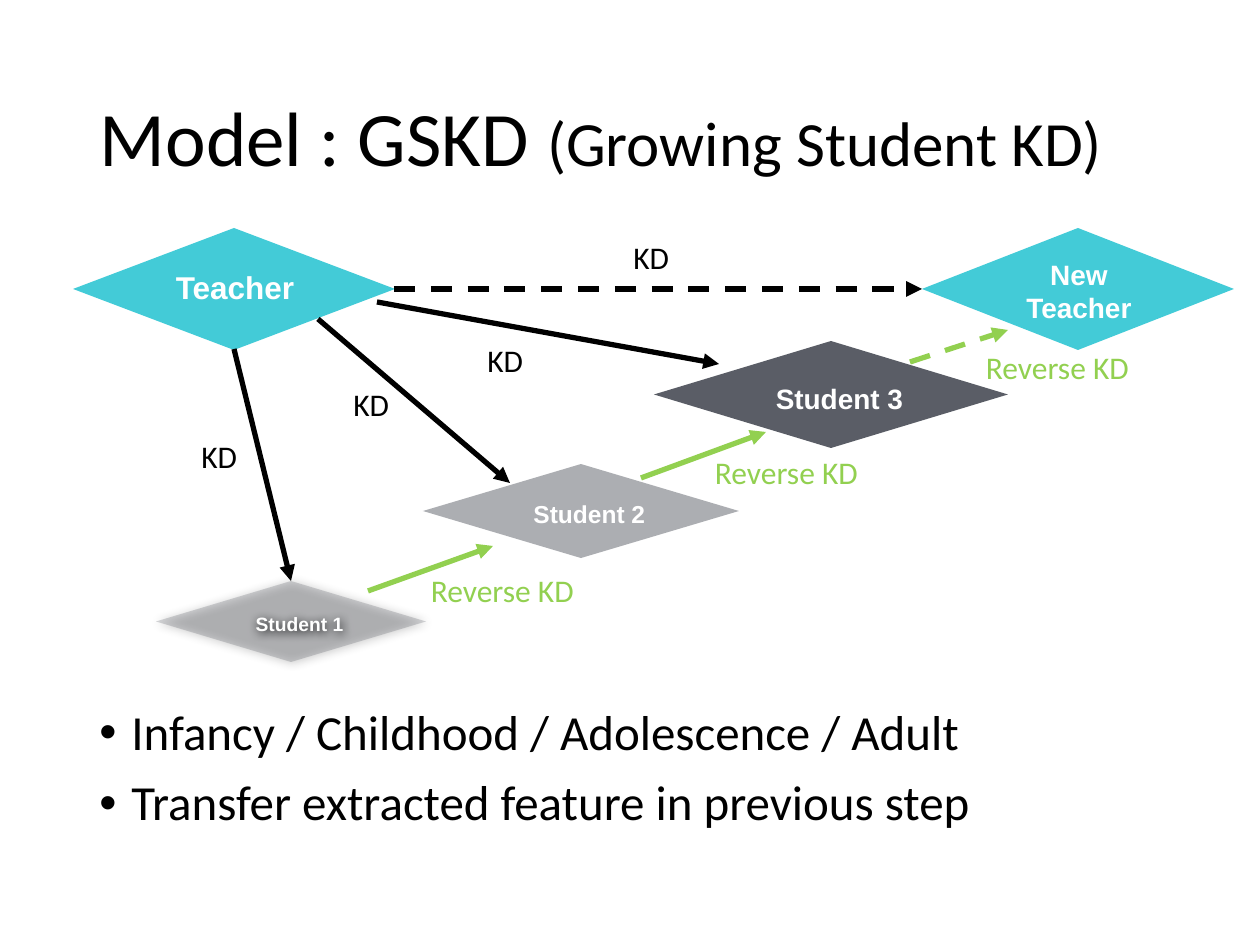
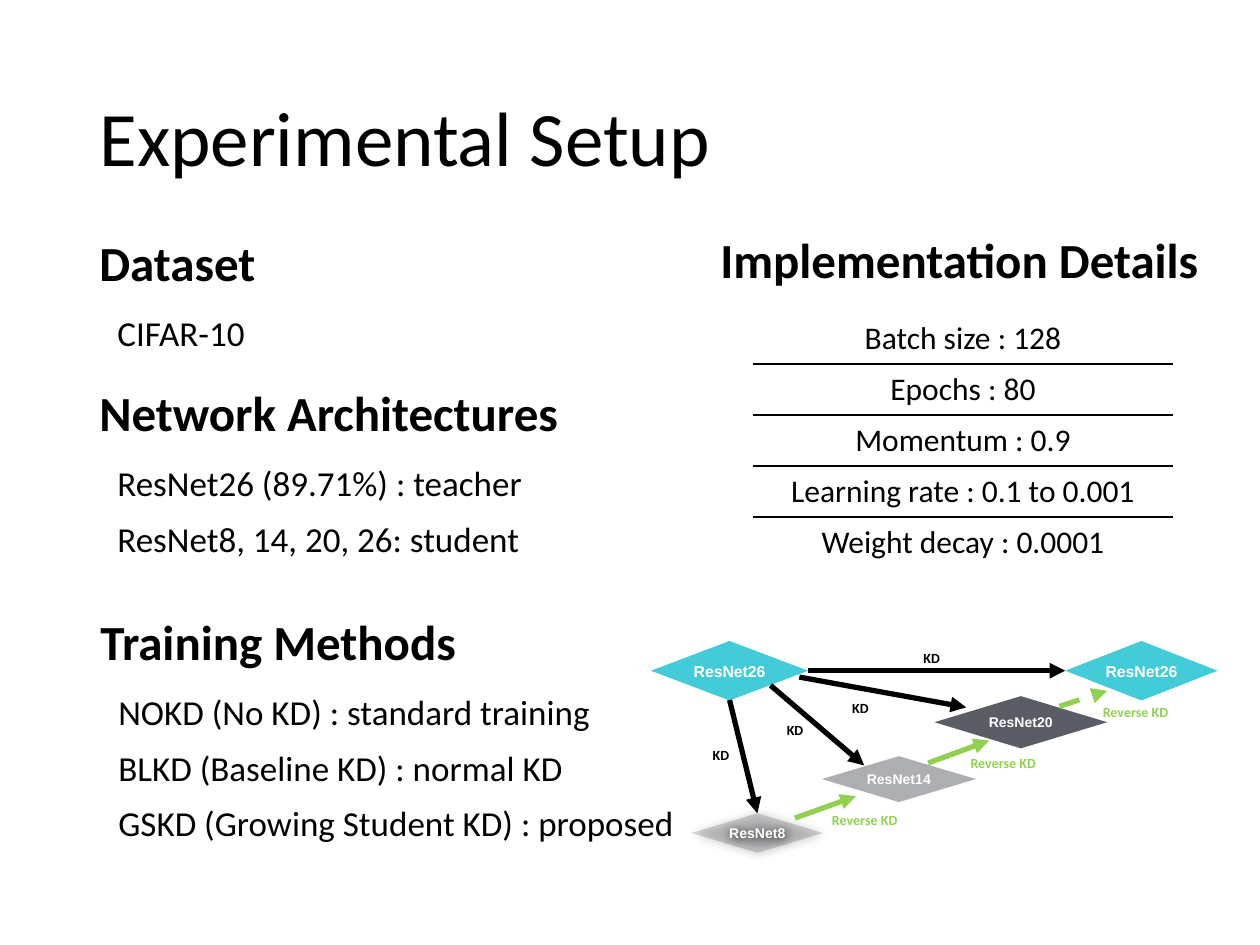
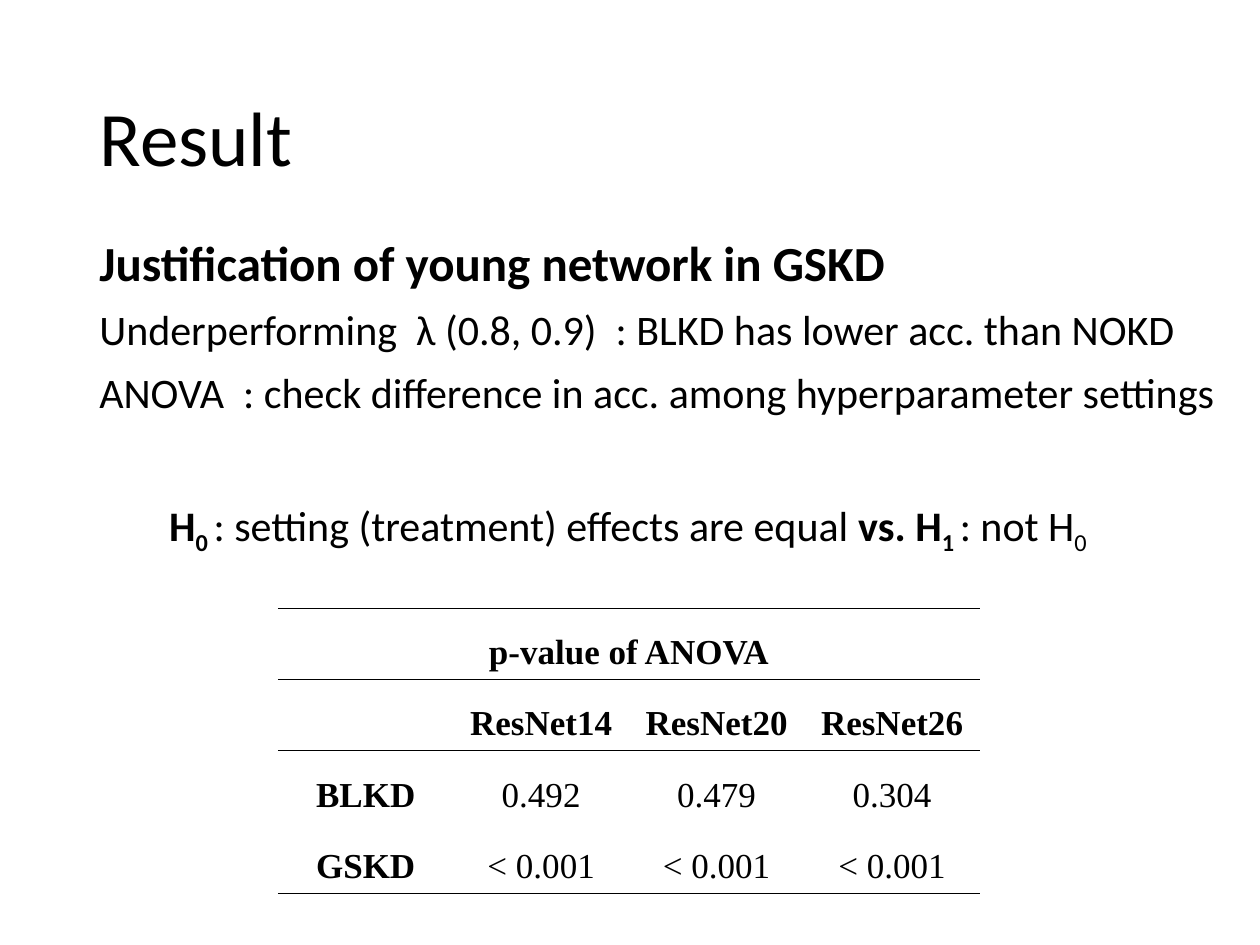
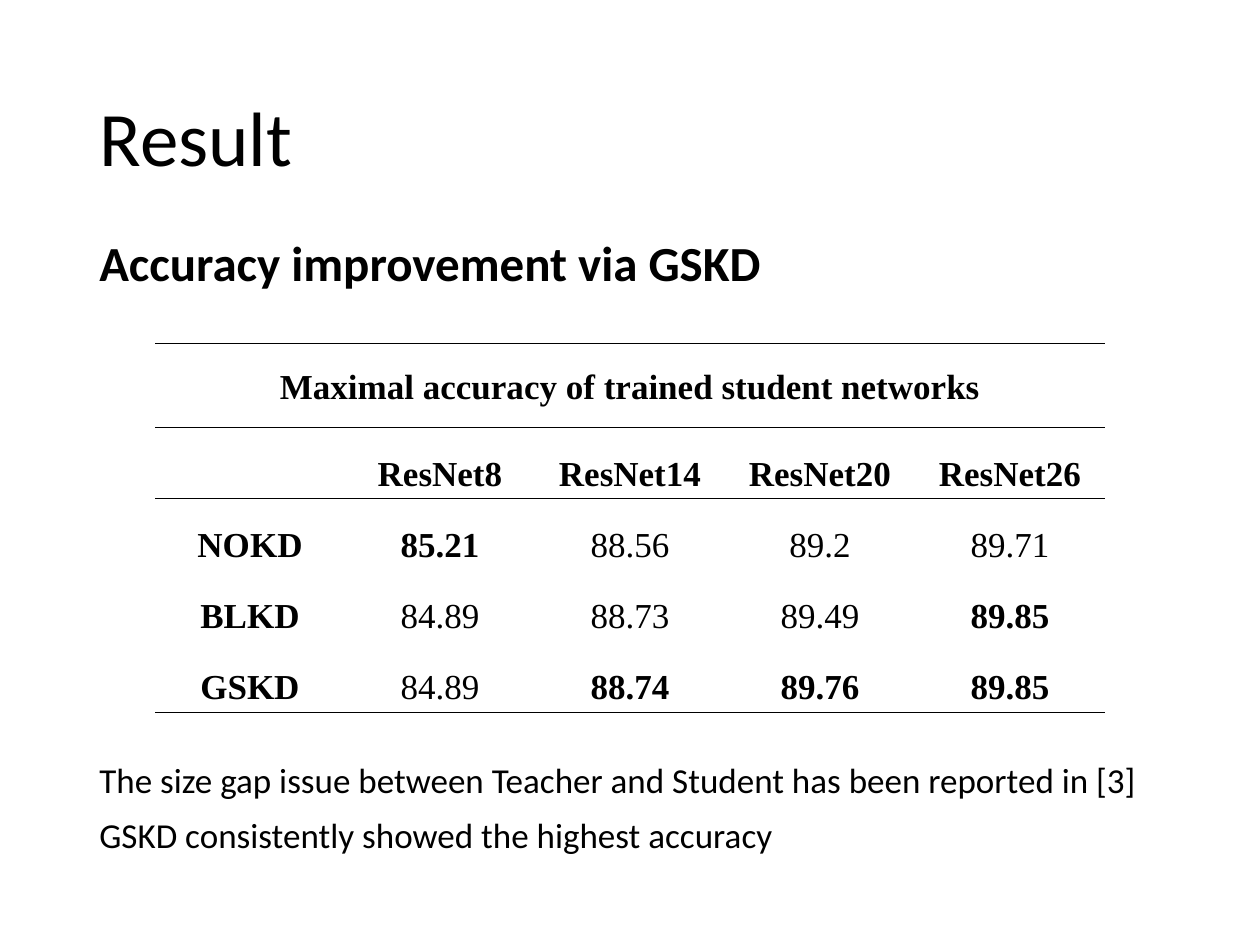
"""Build four slides on growing student knowledge distillation."""
from lxml.etree import SubElement
from pptx import Presentation
from pptx.dml.color import RGBColor
from pptx.enum.dml import MSO_LINE
from pptx.enum.shapes import MSO_CONNECTOR, MSO_SHAPE
from pptx.enum.text import MSO_ANCHOR, MSO_AUTO_SIZE, PP_ALIGN
from pptx.oxml.ns import qn
from pptx.util import Pt

PX = 914400 / 126
WIDE, HIGH = 1260, 945
BLACK = RGBColor(0x00, 0x00, 0x00)
WHITE = RGBColor(0xFF, 0xFF, 0xFF)
GREEN = RGBColor(0x92, 0xD0, 0x50)
CYAN = RGBColor(0x43, 0xCB, 0xD7)
SLATE = RGBColor(0x31, 0x35, 0x40)
SANS, BODY, SERIF = "Arial", "Calibri", "Times New Roman"
LEFT, CENTER = PP_ALIGN.LEFT, PP_ALIGN.CENTER
TOP, MIDDLE, BOTTOM = MSO_ANCHOR.TOP, MSO_ANCHOR.MIDDLE, MSO_ANCHOR.BOTTOM

TITLE = (87, 50, 1173, 183)
HEAD, ITEM = 28, 20
INDENT = 18

LOW = (30, 20, 13, 6)
HIGHER = (15, 10, 13, 6)
NODES = [
    ((423, 464, 316, 94), SLATE, 40, BOTTOM, LOW),
    ((654, 341, 354, 107), SLATE, 80, BOTTOM, LOW),
    ((156, 581, 270, 81), SLATE, 20, BOTTOM, LOW),
    ((73, 228, 322, 122), CYAN, 100, TOP, HIGHER),
    ((922, 228, 312, 122), CYAN, 100, MIDDLE, HIGHER),
]
FAINT = 20
ARROWS = [
    ((234, 349, 291, 581), BLACK, False),
    ((368, 591, 493, 546), GREEN, False),
    ((641, 478, 766, 432), GREEN, False),
    ((318, 319, 510, 483), BLACK, False),
    ((377, 302, 719, 364), BLACK, False),
    ((910, 362, 1008, 330), GREEN, True),
]
LINK = (394, 289, 922, 289)
LABELS = {
    "KD": (BLACK, [(222, 456), (374, 404), (508, 360), (654, 257)]),
    "Reverse KD": (GREEN, [(527, 590), (811, 472), (1082, 367)]),
}
LARGE = {
    "names": [("Student 2", 14), ("Student 3", 16), ("Student 1", 11),
              ("Teacher", 18), ("New Teacher", 16)],
    "origin": (73, 228), "scale": 1, "tight": False, "dash": True,
    "size": 18, "bold": False, "drop": 0, "tall": 50,
    "widths": {"KD": 66, "Reverse KD": 217},
}
SMALL = {
    "names": [("ResNet14", 8), ("ResNet20", 8), ("ResNet8", 8),
              ("ResNet26", 9), ("ResNet26", 9)],
    "origin": (651, 641), "scale": 0.488, "tight": True, "dash": False,
    "size": 8, "bold": True, "drop": 3, "tall": 30,
    "widths": {"KD": 47, "Reverse KD": 106},
}

STAGES = ["Infancy / Childhood / Adolescence / Adult",
          "Transfer extracted feature in previous step"]
SETUP = [
    ((87, 233, 231, 130), "Dataset", ["CIFAR-10"]),
    ((87, 383, 544, 185), "Network Architectures",
     ["ResNet26 (89.71%) : teacher", "ResNet8, 14, 20, 26: student"]),
    ((88, 612, 757, 242), "Training Methods",
     ["NOKD (No KD) : standard training", "BLKD (Baseline KD) : normal KD",
      "GSKD (Growing Student KD) : proposed"]),
    ((708, 230, 512, 67), "Implementation Details", []),
]
DETAILS = [["Batch size : 128"], ["Epochs : 80"], ["Momentum : 0.9"],
           ["Learning rate : 0.1 to 0.001"], ["Weight decay : 0.0001"]]
REASON = [
    ("Justification of young network in GSKD", HEAD, True),
    ("Underperforming  λ (0.8, 0.9)  : BLKD has lower acc. than NOKD", 24, False),
    ("ANOVA  : check difference in acc. among hyperparameter settings", 24, False),
]
TEST = [("H", True, False), ("0 ", True, True),
        (": setting (treatment) effects are equal ", False, False),
        ("vs. H", True, False), ("1 ", True, True),
        (": not H", False, False), ("0", False, True)]
ANOVA = [
    ["p-value of ANOVA", "", "", ""],
    ["", "ResNet14", "ResNet20", "ResNet26"],
    ["BLKD", "0.492", "0.479", "0.304"],
    ["GSKD", "< 0.001", "< 0.001", "< 0.001"],
]
SCORES = [
    ["Maximal accuracy of trained student networks", "", "", "", ""],
    ["", "ResNet8", "ResNet14", "ResNet20", "ResNet26"],
    ["NOKD", "85.21", "88.56", "89.2", "89.71"],
    ["BLKD", "84.89", "88.73", "89.49", "89.85"],
    ["GSKD", "84.89", "88.74", "89.76", "89.85"],
]
NOTES = ["The size gap issue between Teacher and Student has been reported in [3]",
         "GSKD consistently showed the highest accuracy"]


def emu(*vals):
    return [round(val * PX) for val in vals]


def style(run, size, bold=False, color=BLACK, face=BODY):
    font = run.font
    font.size, font.bold, font.name = Pt(size), bold, face
    font.color.rgb = color


def fill_para(para, text, size, bold=False, color=BLACK, face=BODY, align=LEFT):
    para.text, para.alignment = text, align
    for run in para.runs:
        style(run, size, bold, color, face)


def pad(frame, sides):
    (frame.margin_left, frame.margin_top,
     frame.margin_right, frame.margin_bottom) = emu(*sides)


def add_box(slide, box):
    frame = slide.shapes.add_textbox(*emu(*box)).text_frame
    frame.word_wrap = True
    return frame


def add_block(slide, box, lines):
    """Write (text, size, bold) lines with the shared body spacing."""
    frame = add_box(slide, box)
    for num, line in enumerate(lines):
        para = frame.add_paragraph() if num else frame.paragraphs[0]
        fill_para(para, *line)
        para.line_spacing, para.space_before = 0.9, Pt(10)
    return frame.paragraphs


def indent(para, left, first=0):
    props = para._p.get_or_add_pPr()
    props.set("marL", str(emu(left)[0]))
    props.set("indent", str(emu(first)[0]))
    return props


def add_slide(deck, *parts):
    slide = deck.slides.add_slide(deck.slide_layouts[5])
    title = slide.shapes.title
    title.left, title.top, title.width, title.height = emu(*TITLE)
    frame = title.text_frame
    frame.auto_size = MSO_AUTO_SIZE.NONE
    frame.vertical_anchor = MIDDLE
    para = frame.paragraphs[0]
    para.alignment, para.line_spacing = LEFT, 0.9
    for text, size in parts:
        run = para.add_run()
        run.text = text
        style(run, size)
    return slide


def add_node(slide, box, color, alpha, anchor, sides, text, size):
    shape = slide.shapes.add_shape(MSO_SHAPE.DIAMOND, *emu(*box))
    shape.shadow.inherit = False
    shape.fill.solid()
    shape.fill.fore_color.rgb = color
    shape.line.fill.background()
    props = shape._element.spPr
    if alpha < 100:
        tint = props.find(qn("a:solidFill")).find(qn("a:srgbClr"))
        SubElement(tint, qn("a:alpha"), val=str(alpha * 1000))
    if alpha == FAINT:
        cast = SubElement(props.find(qn("a:effectLst")), qn("a:outerShdw"),
                          blurRad=str(Pt(6)), dist=str(Pt(1)), dir="2700000")
        tint = SubElement(cast, qn("a:srgbClr"), val=str(BLACK))
        SubElement(tint, qn("a:alpha"), val="20000")
    frame = shape.text_frame
    frame.word_wrap, frame.vertical_anchor = True, anchor
    pad(frame, sides)
    fill_para(frame.paragraphs[0], text, size, True, WHITE, SANS, CENTER)


def add_arrow(slide, ends, color, dash):
    line = slide.shapes.add_connector(MSO_CONNECTOR.STRAIGHT, *emu(*ends))
    line.line.color.rgb, line.line.width = color, Pt(3)
    if dash:
        line.line.dash_style = MSO_LINE.DASH
    SubElement(line.line._get_or_add_ln(), qn("a:tailEnd"), type="triangle")
    SubElement(line._element.spPr, qn("a:effectLst"))


def add_model(slide, view):
    """Draw the teacher and student diagram at the scale of one view."""
    left, top = view["origin"]
    scale = view["scale"]
    base = LARGE["origin"]

    def place(x, y):
        return left + scale * (x - base[0]), top + scale * (y - base[1])

    for (box, color, alpha, anchor, sides), name in zip(NODES, view["names"]):
        spot = (*place(*box[:2]), box[2] * scale, box[3] * scale)
        if view["tight"]:
            anchor, sides = MIDDLE, (0, 0, 0, 0)
        add_node(slide, spot, color, alpha, anchor, sides, *name)
    for ends, color, dash in ARROWS + [(LINK, BLACK, view["dash"])]:
        add_arrow(slide, place(*ends[:2]) + place(*ends[2:]), color, dash)
    for text, (color, spots) in LABELS.items():
        wide, tall = view["widths"][text], view["tall"]
        for spot in spots:
            x, y = place(*spot)
            frame = add_box(slide, (x - wide / 2, y - tall / 2 + view["drop"],
                                    wide, tall))
            fill_para(frame.paragraphs[0], text, view["size"], view["bold"], color)


def rule_cell(cell, weights):
    props = cell._tc.get_or_add_tcPr()
    for side, weight in zip("LRTB", weights):
        line = SubElement(props, qn("a:ln" + side), w=str(Pt(weight)))
        if weight:
            tint = SubElement(line, qn("a:solidFill"))
            SubElement(tint, qn("a:srgbClr"), val=str(BLACK))
        else:
            SubElement(line, qn("a:noFill"))
    cell.fill.background()


def add_grid(slide, spot, wide, talls, rows, rules, weight):
    """Add a table ruled only at the row edges listed in rules."""
    count = len(rows[0])
    box = emu(*spot, wide * count, sum(talls))
    table = slide.shapes.add_table(len(rows), count, *box).table
    table.first_row = table.horz_banding = False
    for col in table.columns:
        col.width = emu(wide)[0]
    for num, tall in enumerate(talls):
        table.rows[num].height = emu(tall)[0]
        for cell in table.rows[num].cells:
            edges = [weight * (edge in rules) for edge in (num, num + 1)]
            rule_cell(cell, [0, 0, *edges])
    return table


def add_results(slide, spot, wide, talls, rows, best):
    """Add a serif result table, with the best value of each column in bold."""
    edges = {0, 1, 2, len(rows)}
    table = add_grid(slide, spot, wide, talls, rows, edges, 0.28)
    table.cell(0, 0).merge(table.cell(0, len(rows[0]) - 1))
    tops = [max(col) for col in zip(*rows[2:])]
    for num, row in enumerate(rows):
        for col, text in enumerate(row):
            if not text:
                continue
            cell = table.cell(num, col)
            pad(cell, (9, 2, 9, 2))
            cell.vertical_anchor = MIDDLE if best and num else TOP
            bold = num < 2 or col == 0 or (best and text == tops[col])
            para = cell.text_frame.paragraphs[0]
            fill_para(para, text, 20, bold, BLACK, SERIF, CENTER)
            para.line_spacing = 1.6


def model_slide(deck):
    slide = add_slide(deck, ("Model : GSKD ", 44), ("(Growing Student KD)", 36))
    lines = [(text, HEAD) for text in STAGES]
    for para in add_block(slide, (87, 702, 1086, 145), lines):
        props = indent(para, 32, -32)
        SubElement(props, qn("a:buFont"), typeface=SANS)
        SubElement(props, qn("a:buChar"), char="•")
    add_model(slide, LARGE)


def setup_slide(deck):
    slide = add_slide(deck, ("Experimental Setup", 44))
    for box, head, items in SETUP:
        lines = [(head, HEAD, True)] + [(item, ITEM) for item in items]
        paras = add_block(slide, box, lines)
        for para in paras[1:]:
            indent(para, INDENT)
        for para in paras[1:2]:
            para.space_before = Pt(14)
    table = add_grid(slide, (753, 313), 420, [51] * len(DETAILS), DETAILS,
                     range(1, len(DETAILS)), 1)
    for num, (text,) in enumerate(DETAILS):
        para = table.cell(num, 0).text_frame.paragraphs[0]
        fill_para(para, text, 18, align=CENTER)
    add_model(slide, SMALL)


def reason_slide(deck):
    slide = add_slide(deck, ("Result", 44))
    add_block(slide, (87, 233, 1173, 340), REASON)
    add_results(slide, (278, 608), 175.5, [67] * 4, ANOVA, False)
    para = add_box(slide, (19, 493, 1218, 63)).paragraphs[0]
    para.alignment = CENTER
    for text, bold, sub in TEST:
        run = para.add_run()
        run.text = text
        style(run, 24, bold)
        if sub:
            run._r.get_or_add_rPr().set("baseline", "-25000")


def score_slide(deck):
    slide = add_slide(deck, ("Result", 44))
    add_block(slide, (87, 233, 1086, 257),
              [("Accuracy improvement via GSKD", HEAD, True)])
    add_results(slide, (155, 343), 190, [84] + [67] * 4, SCORES, True)
    add_block(slide, (87, 757, 1173, 139), [(text, ITEM) for text in NOTES])


def main():
    deck = Presentation()
    deck.slide_width, deck.slide_height = emu(WIDE, HIGH)
    for build in (model_slide, setup_slide, reason_slide, score_slide):
        build(deck)
    deck.save("out.pptx")


if __name__ == "__main__":
    main()
